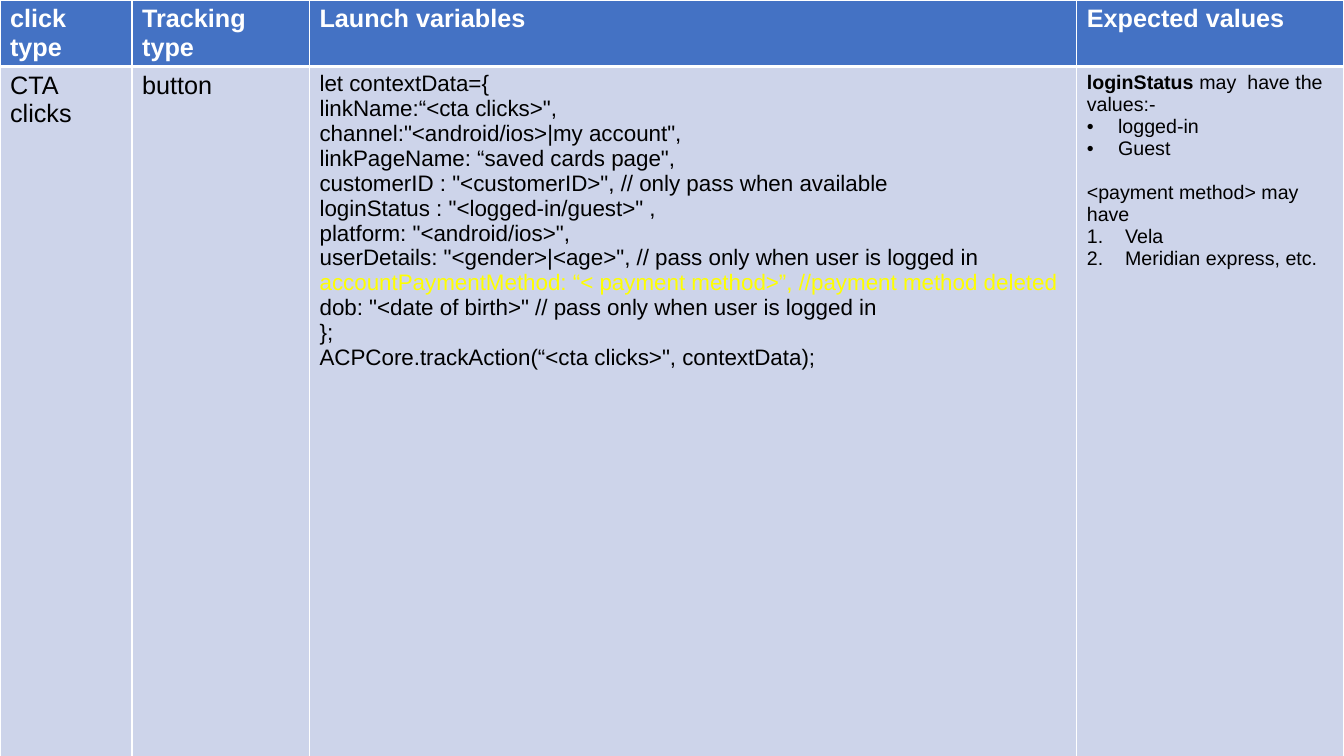
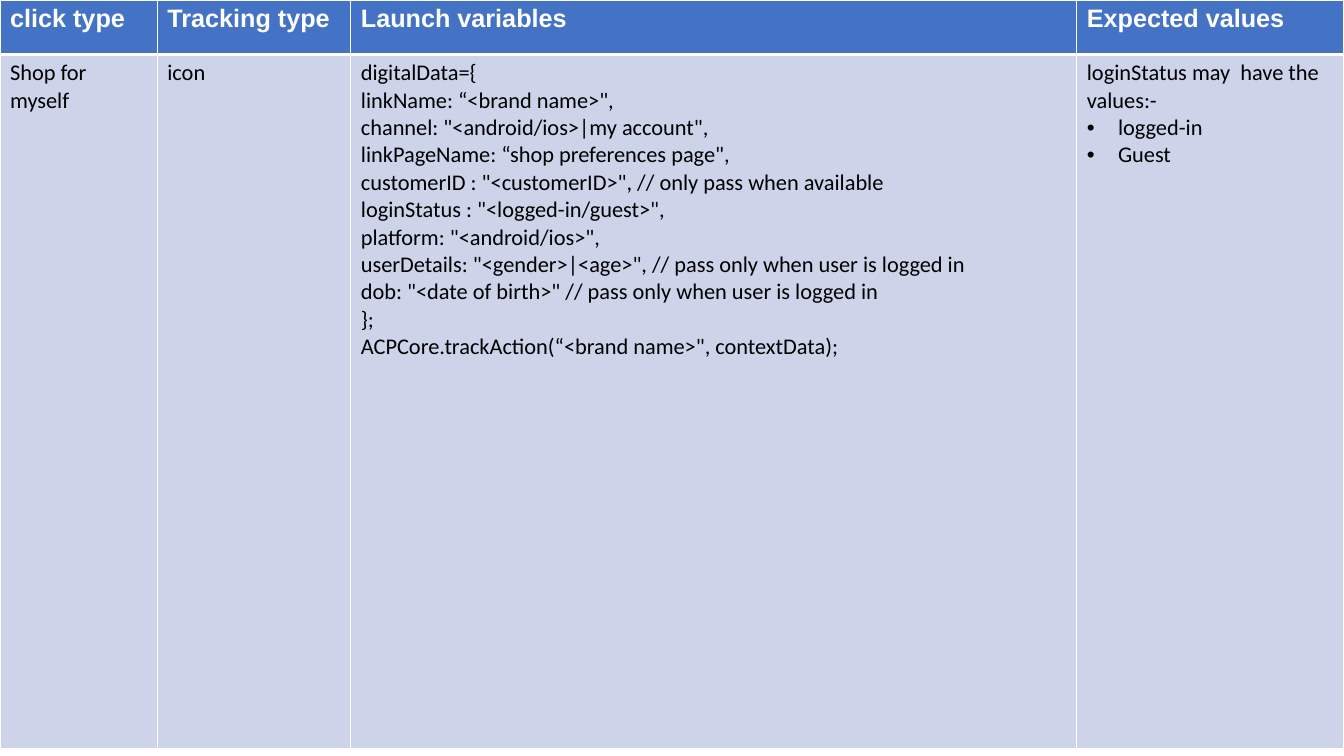
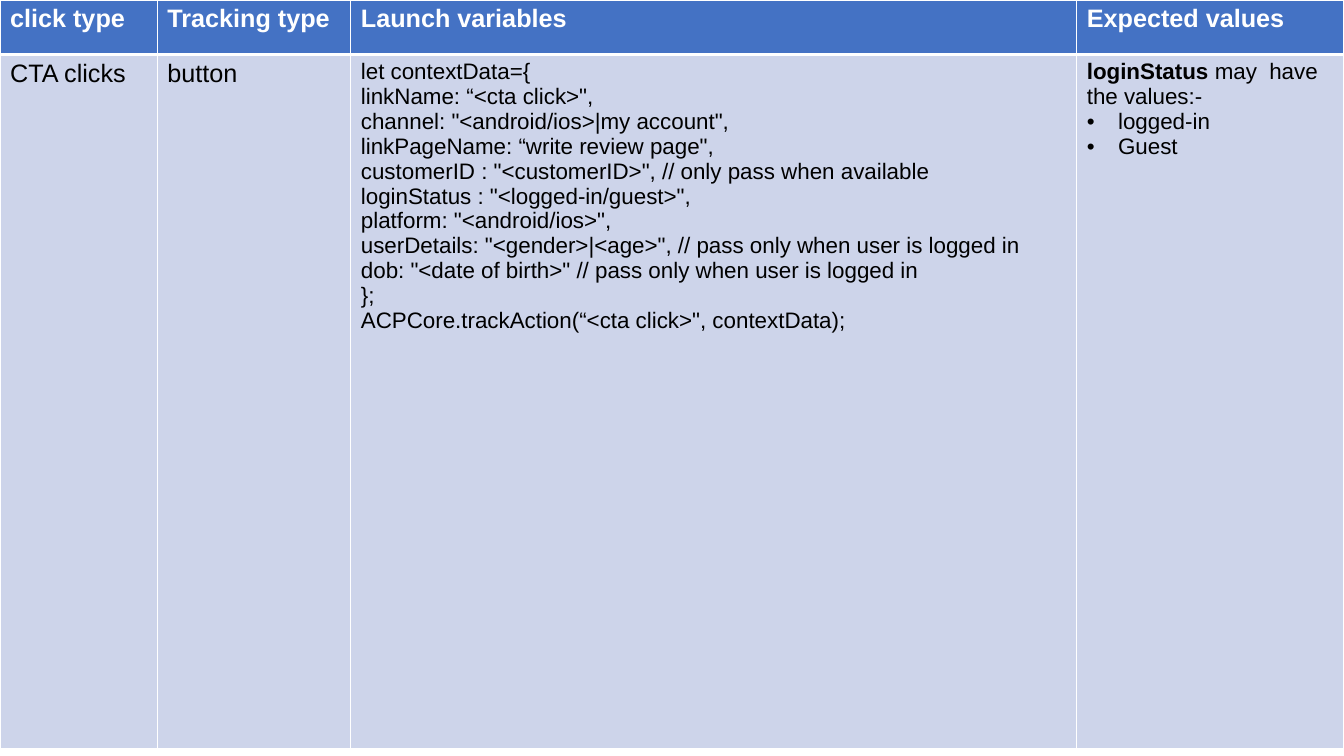
from dataclasses import dataclass

from lxml import etree
from pptx import Presentation
from pptx import util as u
from pptx.dml.color import RGBColor
from pptx.oxml import ns

WHITE = RGBColor(0xFF, 0xFF, 0xFF)
BLACK = RGBColor(0x00, 0x00, 0x00)
BLUE = RGBColor(0x44, 0x72, 0xC4)
PALE = RGBColor(0xCD, 0xD4, 0xEA)
YELLOW = RGBColor(0xFF, 0xFF, 0x00)

WIDTH, HEIGHT = 13.33, 7.5
ROWS = (0.54, 6.89)
WIDE = (1.31, 1.76, 7.61, 2.65)
EVEN = (1.56, 1.92, 7.2, 2.65)
HEADS = ("click type", "Tracking type", "Launch variables", "Expected values")


@dataclass(frozen=True)
class Span:
    text: str
    bold: bool = False
    color: RGBColor = BLACK


@dataclass(frozen=True)
class Line:
    spans: tuple[Span, ...]
    mark: str = ""
    indent: float = 0
    before: int = 0


@dataclass(frozen=True)
class Style:
    size: int
    face: str = "Arial"
    color: RGBColor = BLACK
    bold: bool = False


@dataclass(frozen=True)
class Entry:
    lines: list[Line]
    style: Style


@dataclass(frozen=True)
class Page:
    cols: tuple[float, ...]
    cells: tuple[Entry, ...]


HEAD = Style(18, color=WHITE, bold=True)
LARGE = Style(18)
MID = Style(16)
SMALL = Style(14)
PLAIN = Style(16, "Calibri")


def line(text: str, before: int = 0) -> Line:
    return Line((Span(text),), before=before)


def dot(text: str) -> Line:
    return Line((Span(text),), "•", 0.31)


def item(text: str) -> Line:
    return Line((Span(text),), "1.", 0.38)


def entry(text: str, style: Style) -> Entry:
    return Entry([line(text)], style)


def login(bold: bool) -> list[Line]:
    rest = "may  have the values:-"
    spans = (Span("loginStatus ", True), Span(rest)) if bold else (Span("loginStatus " + rest),)
    return [Line(spans), dot("logged-in"), dot("Guest")]


def code(start: str, link: str, page: str, gap: str = " ", comma: str = ",", pay: str = "") -> list[Line]:
    user = (
        f'loginStatus : "<logged-in/guest>"{comma}\n'
        'platform: "<android/ios>",\n'
        'userDetails: "<gender>|<age>", // pass only when user is logged in'
    )
    dob = 'dob: "<date of birth>" // pass only when user is logged in'
    if pay:
        mid = [line(user), Line((Span(pay + "\n", color=YELLOW), Span(dob)))]
    else:
        mid = [line(user + "\n" + dob)]
    return [
        line(start + "={"),
        line(f'linkName:{gap}“<{link}>",'),
        line(f'channel:{gap}"<android/ios>|my account",'),
        line(f'linkPageName: “{page} page",'),
        line('customerID : "<customerID>", // only pass when available'),
        *mid,
        line("};"),
        line(f'ACPCore.trackAction(“<{link}>", contextData);'),
    ]


PAGES = (
    Page(WIDE, (
        entry("CTA clicks", LARGE),
        entry("button", LARGE),
        Entry(code("let contextData", "cta clicks", "saved cards", "", " ,",
                   "accountPaymentMethod: “< payment method>”, //payment method deleted"), MID),
        Entry([*login(True), line("<payment method> may have", 16),
               item("Vela"), item("Meridian express, etc.")], SMALL),
    )),
    Page(EVEN, (
        entry("Shop for myself", PLAIN),
        entry("icon", PLAIN),
        Entry(code("digitalData", "brand name", "shop preferences"), PLAIN),
        Entry(login(False), PLAIN),
    )),
    Page(EVEN, (
        entry("CTA clicks", LARGE),
        entry("button", LARGE),
        Entry(code("let contextData", "cta click", "write review"), MID),
        Entry(login(True), MID),
    )),
)


def add(parent, tag: str, **attrs: str):
    return etree.SubElement(parent, ns.qn("a:" + tag), attrs)


def bullet(para, mark: str, indent: float) -> None:
    props = para._p.get_or_add_pPr()
    props.set("marL", str(u.Inches(indent)))
    props.set("indent", str(-u.Inches(indent)))
    add(add(props, "buClr"), "srgbClr", val=str(BLACK))
    add(props, "buFont", typeface="Arial")
    if mark == "1.":
        add(props, "buAutoNum", type="arabicPeriod")
    else:
        add(props, "buChar", char=mark)


def edge(cell, top: int, bottom: int) -> None:
    props = cell._tc.get_or_add_tcPr()
    for side, size in (("lnL", 1), ("lnR", 1), ("lnT", top), ("lnB", bottom)):
        border = add(props, side, w=str(u.Pt(size)))
        add(add(border, "solidFill"), "srgbClr", val=str(WHITE))


def write(para, row: Line, style: Style) -> None:
    if row.before:
        para.space_before = u.Pt(row.before)
    if row.mark:
        bullet(para, row.mark, row.indent)
    font = para.font
    font.size, font.name, font.bold = u.Pt(style.size), style.face, style.bold
    font.color.rgb = style.color
    for span in row.spans:
        for num, part in enumerate(span.text.split("\n")):
            if num:
                para.add_line_break()
            if part:
                run = para.add_run()
                run.text = part
                if span.bold:
                    run.font.bold = True
                if span.color != BLACK:
                    run.font.color.rgb = span.color


def fill(cell, data: Entry, color: RGBColor, top: int, bottom: int) -> None:
    edge(cell, top, bottom)
    cell.fill.solid()
    cell.fill.fore_color.rgb = color
    frame = cell.text_frame
    for num, row in enumerate(data.lines):
        write(frame.add_paragraph() if num else frame.paragraphs[0], row, data.style)


def draw(deck, page: Page) -> None:
    slide = deck.slides.add_slide(deck.slide_layouts[6])
    table = slide.shapes.add_table(
        len(ROWS), len(HEADS), 0, 0, u.Inches(WIDTH), u.Inches(sum(ROWS))
    ).table
    for col, width in zip(table.columns, page.cols):
        col.width = u.Inches(width)
    for row, height in zip(table.rows, ROWS):
        row.height = u.Inches(height)
    for num, (head, data) in enumerate(zip(HEADS, page.cells)):
        fill(table.cell(0, num), entry(head, HEAD), BLUE, 1, 3)
        fill(table.cell(1, num), data, PALE, 3, 1)


def main() -> None:
    deck = Presentation()
    deck.slide_width, deck.slide_height = u.Inches(WIDTH), u.Inches(HEIGHT)
    for page in PAGES:
        draw(deck, page)
    deck.save("out.pptx")


if __name__ == "__main__":
    main()
